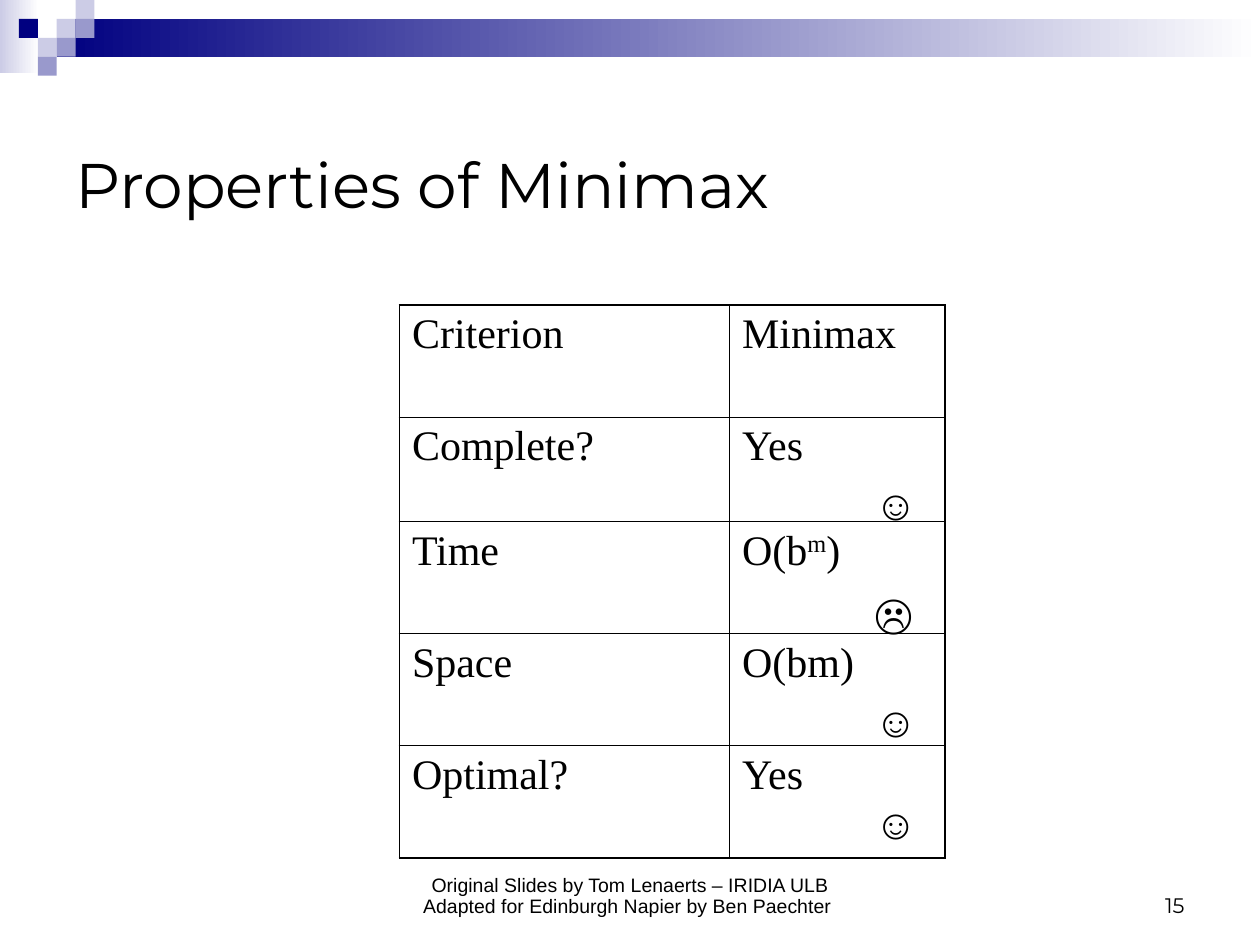
from dataclasses import dataclass

from lxml import etree
from pptx import Presentation
from pptx.dml.color import RGBColor
from pptx.enum.shapes import MSO_SHAPE
from pptx.enum.text import MSO_ANCHOR, MSO_AUTO_SIZE, PP_ALIGN
from pptx.oxml.ns import qn
from pptx.util import Inches, Pt

RECT = MSO_SHAPE.RECTANGLE
TOP, MIDDLE, BOTTOM = MSO_ANCHOR.TOP, MSO_ANCHOR.MIDDLE, MSO_ANCHOR.BOTTOM
LEFT, CENTER, RIGHT = PP_ALIGN.LEFT, PP_ALIGN.CENTER, PP_ALIGN.RIGHT
FIT = MSO_AUTO_SIZE.SHAPE_TO_FIT_TEXT


@dataclass(frozen=True)
class Theme:
    ink: str = "000000"
    paper: str = "FFFFFF"
    navy: str = "000080"
    mid: str = "9999CC"
    pale: str = "CCCCE6"
    heading: str = "Montserrat"
    body: str = "Arial"
    table: str = "Times New Roman"
    title_size: float = 36
    body_size: float = 24
    number_size: float = 12
    footer_size: float = 11.1
    outer_line: float = 1.08
    inner_line: float = 0.45


class SlideBuilder:
    def __init__(self, slide, theme):
        self.s = slide
        self.theme = theme

    def block(self, box, color, fade_to=None):
        sp = self.s.shapes.add_shape(RECT, *map(Inches, box))
        sp.shadow.inherit = False
        sp.line.fill.background()
        if fade_to is None:
            sp.fill.solid()
            sp.fill.fore_color.rgb = RGBColor.from_string(color)
            return
        sp.fill.gradient()
        sp.fill.gradient_angle = 0
        for stop, value in zip(sp.fill.gradient_stops, (color, fade_to)):
            stop.color.rgb = RGBColor.from_string(value)

    def run(self, p, text, font, size, raised=False):
        r = p.add_run()
        r.text = text
        r.font.name = font
        r.font.size = Pt(size)
        r.font.color.rgb = RGBColor.from_string(self.theme.ink)
        if raised:
            r._r.get_or_add_rPr().set("baseline", "30000")

    def text(self, box, lines, font, size, align=LEFT, anchor=TOP, spacing=None, wrap=True):
        tf = self.s.shapes.add_textbox(*map(Inches, box)).text_frame
        tf.word_wrap = wrap
        tf.vertical_anchor = anchor
        if not wrap:
            tf.auto_size = FIT
        for i, line in enumerate(lines):
            p = tf.add_paragraph() if i else tf.paragraphs[0]
            p.alignment = align
            if spacing:
                p.line_spacing = spacing
            self.run(p, line, font, size)

    def border(self, cell, side, width):
        ln = etree.SubElement(cell._tc.get_or_add_tcPr(), qn(f"a:ln{side}"), w=str(Pt(width)))
        fill = etree.SubElement(ln, qn("a:solidFill"))
        etree.SubElement(fill, qn("a:srgbClr"), val=self.theme.ink)

    def table(self, box, widths, heights, rows):
        t = self.theme
        frame = self.s.shapes.add_table(len(heights), len(widths), *map(Inches, box))
        tbl = frame.table
        tbl.first_row = tbl.horz_banding = False
        for col, width in zip(tbl.columns, widths):
            col.width = Inches(width)
        for row, height in zip(tbl.rows, heights):
            row.height = Inches(height)
        last_row, last_col = len(heights) - 1, len(widths) - 1
        for i, row in enumerate(rows):
            for j, parts in enumerate(row):
                cell = tbl.cell(i, j)
                outer = {"L": j == 0, "R": j == last_col, "T": i == 0, "B": i == last_row}
                for side, is_outer in outer.items():
                    self.border(cell, side, t.outer_line if is_outer else t.inner_line)
                cell.fill.background()
                for k, part in enumerate(parts):
                    self.run(cell.text_frame.paragraphs[0], part, t.table, t.body_size, raised=k == 1)


def main():
    prs = Presentation()
    prs.slide_width, prs.slide_height = Inches(10), Inches(7.5)
    t = Theme()
    s = SlideBuilder(prs.slides.add_slide(prs.slide_layouts[6]), t)

    s.block((0, 0, 0.31, 0.58), t.pale, fade_to=t.paper)
    s.block((0.45, 0.15, 9.55, 0.3), t.navy, fade_to=t.paper)
    unit = 0.15
    squares = [(3, 1, t.pale), (4, 0, t.pale), (4, 1, t.mid), (2, 2, t.pale),
               (1, 1, t.navy), (3, 2, t.mid), (2, 3, t.mid)]
    for col, row, color in squares:
        s.block((col * unit, row * unit, unit, unit), color)

    s.text((0.5, 0.83, 9, 1.25), ["Properties of Minimax"], t.heading, t.title_size, anchor=MIDDLE)
    s.table((3.17, 2.42, 4.33, 4.39), [2.62, 1.71], [0.89, 0.83, 0.89, 0.89, 0.89], [
        (["Criterion"], ["Minimax"]),
        (["Complete?"], ["Yes"]),
        (["Time"], ["O(b", "m", ")"]),
        (["Space"], ["O(bm)"]),
        (["Optimal?"], ["Yes"]),
    ])
    for top, face in [(3.75, "☺"), (4.61, "☹"), (5.47, "☺"), (6.28, "☺")]:
        s.text((6.84, top, 0.48, 0.5), [face], t.body, t.body_size, wrap=False)

    credits = ["Original Slides by Tom Lenaerts – IRIDIA ULB",
               "Adapted for Edinburgh Napier by Ben Paechter "]
    s.text((3.11, 6.83, 3.78, 0.5), credits, t.body, t.footer_size, CENTER, BOTTOM, spacing=0.9)
    s.text((7.17, 6.83, 2.33, 0.5), ["15"], t.heading, t.number_size, RIGHT, BOTTOM)
    prs.save("out.pptx")


if __name__ == "__main__":
    main()
